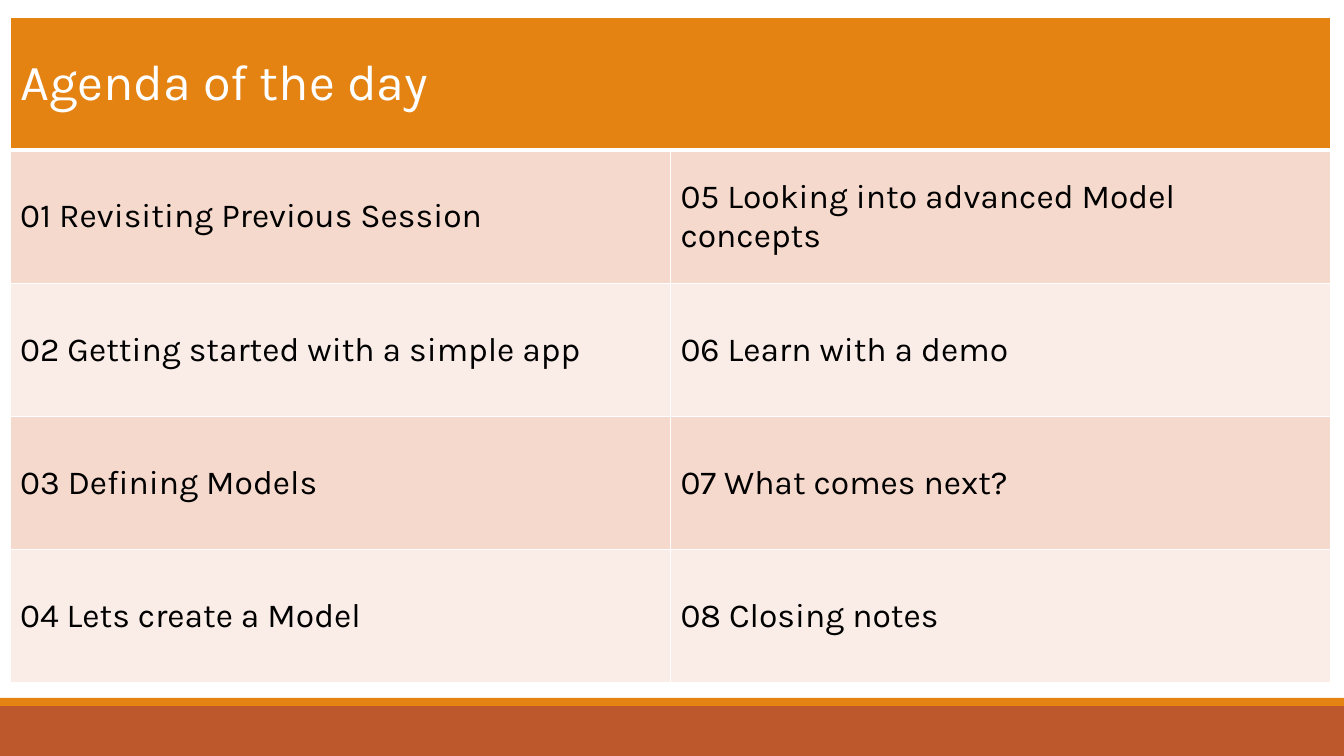
from lxml.etree import SubElement
from pptx import Presentation
from pptx.dml.color import RGBColor
from pptx.enum.shapes import MSO_SHAPE
from pptx.enum.text import MSO_ANCHOR
from pptx.oxml.ns import qn
from pptx.util import Emu, Pt

FONT = "Karla"
WHITE, BLACK = "FFFFFF", "000000"
ORANGE, RUST = "E48312", "BD582C"
BANDS = ["F5D9CC", "FAEDE7"]

TITLE = "Agenda of the day"
AGENDA = [
    ("01 Revisiting Previous Session", "05 Looking into advanced Model concepts"),
    ("02 Getting started with a simple app", "06 Learn with a demo"),
    ("03 Defining Models", "07 What comes next?"),
    ("04 Lets create a Model", "08 Closing notes"),
]


def px(length):
    return Emu(round(length * 914400 / 100.8))


def colour(value):
    return RGBColor.from_string(value)


def write_text(frame, text, size=24, color=BLACK):
    span = frame.paragraphs[0].add_run()
    span.text = text
    span.font.name = FONT
    span.font.size = Pt(size)
    span.font.color.rgb = colour(color)


def set_borders(cell, bottom=1):
    properties = cell._tc.get_or_add_tcPr()
    for side, width in (("L", 1), ("R", 1), ("T", 1), ("B", bottom)):
        line = SubElement(properties, qn(f"a:ln{side}"), w=str(Pt(width)))
        fill = SubElement(line, qn("a:solidFill"))
        SubElement(fill, qn("a:srgbClr"), val=WHITE)


def style_cell(cell, fill, bottom=1):
    set_borders(cell, bottom)
    cell.fill.solid()
    cell.fill.fore_color.rgb = colour(fill)
    cell.vertical_anchor = MSO_ANCHOR.MIDDLE


def add_bar(page, left, top, width, height, fill):
    bar = page.shapes.add_shape(
        MSO_SHAPE.RECTANGLE, px(left), px(top), px(width), px(height))
    bar.shadow.inherit = False
    bar.fill.solid()
    bar.fill.fore_color.rgb = colour(fill)
    bar.line.fill.background()


def add_footer(page, left, top, width, height):
    stripe = 8
    add_bar(page, left, top + stripe, width, height - stripe, RUST)
    add_bar(page, left, top, width, stripe, ORANGE)


def add_agenda(page, left, top, width, height):
    table = page.shapes.add_table(
        len(AGENDA) + 1, 2, px(left), px(top), px(width), px(height)).table

    # Heading row across both columns
    for cell in table.rows[0].cells:
        style_cell(cell, ORANGE, bottom=3)
    heading = table.cell(0, 0)
    heading.merge(table.cell(0, 1))
    write_text(heading.text_frame, TITLE, size=36, color=WHITE)

    # Banded agenda items
    for row, items in enumerate(AGENDA, start=1):
        for column, item in enumerate(items):
            cell = table.cell(row, column)
            style_cell(cell, BANDS[(row - 1) % 2])
            write_text(cell.text_frame, item)


def main():
    deck = Presentation()
    deck.slide_width, deck.slide_height = px(1344), px(756)
    page = deck.slides.add_slide(deck.slide_layouts[6])
    add_footer(page, 0, 698, 1344, 58)
    add_agenda(page, 10, 17, 1321, 666)
    deck.save("out.pptx")


if __name__ == "__main__":
    main()
